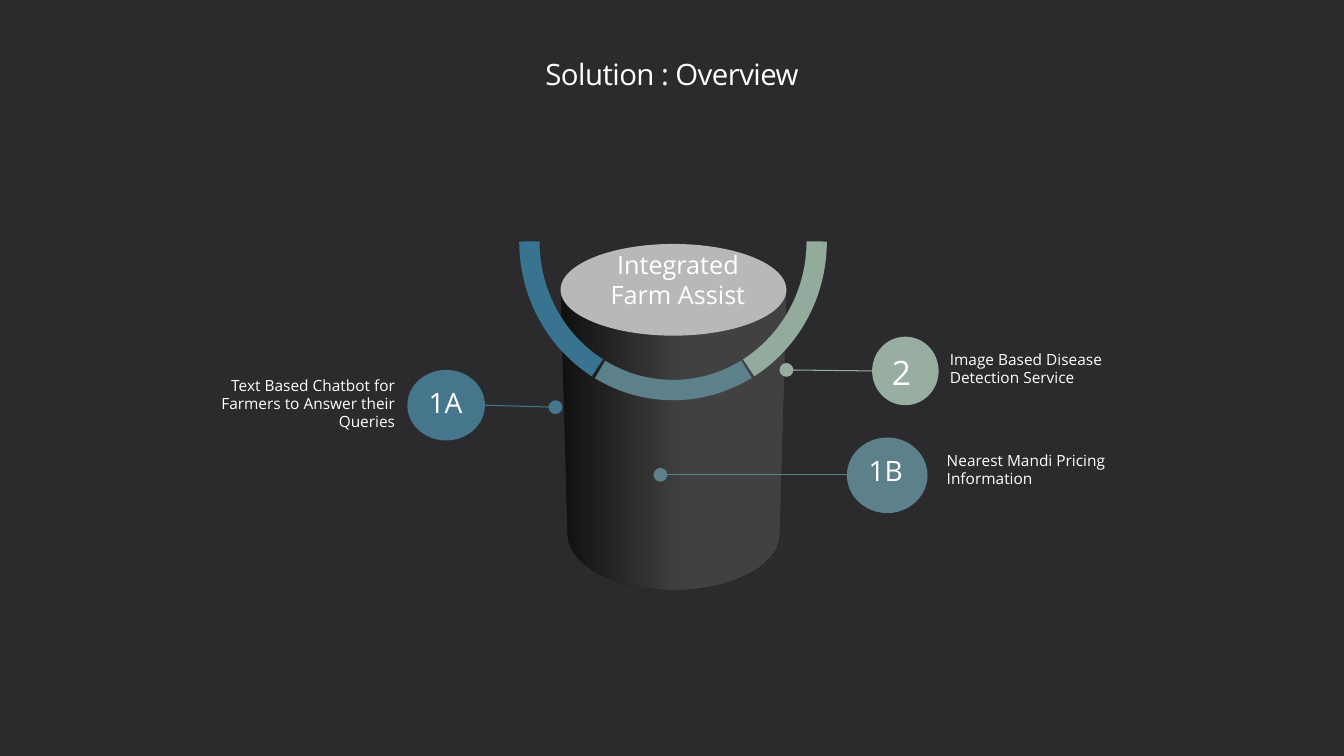
import math
from dataclasses import dataclass

import lxml.etree
import pptx
import pptx.dml.color
import pptx.enum.shapes
import pptx.enum.text
import pptx.oxml.ns
import pptx.util

Inches = pptx.util.Inches
Align = pptx.enum.text.PP_ALIGN
Anchor = pptx.enum.text.MSO_ANCHOR
Preset = pptx.enum.shapes.MSO_SHAPE


@dataclass(frozen=True)
class Theme:
    font: str = "Open Sans"
    background: str = "2B2B2D"
    text: str = "FFFFFF"
    cylinder_top: str = "B8B8B8"
    cylinder_dark: str = "101010"
    cylinder_light: str = "414141"
    teal: str = "5C818A"
    blue_arc: str = "387390"
    blue: str = "46768C"
    green_arc: str = "93AB9C"
    green: str = "97AEA0"
    title_size: float = 21
    center_size: float = 18
    label_size: float = 11
    badge_size: float = 20
    large_badge_size: float = 24
    arc_width: float = 14.5
    line_width: float = 0.75


THEME = Theme()


@dataclass(frozen=True)
class Box:
    left: float
    top: float
    width: float
    height: float

    def emu(self) -> list:
        return [Inches(side) for side in (self.left, self.top, self.width, self.height)]


@dataclass(frozen=True)
class Arc:
    start: float
    end: float
    color: str


@dataclass(frozen=True)
class Service:
    number: str
    label: str
    badge: Box
    label_box: Box
    line_start: tuple[float, float]
    line_end: tuple[float, float]
    color: str
    number_size: float = THEME.badge_size
    align: Align = Align.LEFT


ARC_BOX = Box(5.2, 0.97, 2.95, 2.85)
ARCS = [
    Arc(30.9, 90, THEME.blue_arc),
    Arc(270, 329.1, THEME.green_arc),
    Arc(330.1, 29.67, THEME.teal),
]
CYLINDER_TOP = Box(5.56, 2.42, 2.24, 0.91)
CENTER_TEXT = Box(5.61, 1.62, 2.23, 2.31)
SERVICES = [
    Service("2", "Image Based Disease Detection Service",
            Box(8.65, 3.34, 0.66, 0.68), Box(9.22, 3.44, 2.61, 0.48),
            (8.65, 3.68), (7.8, 3.67), THEME.green, THEME.large_badge_size),
    Service("1A", "Text Based Chatbot for Farmers to Answer their Queries",
            Box(4.04, 3.67, 0.77, 0.7), Box(1.54, 3.7, 2.58, 0.66),
            (4.81, 4.02), (5.51, 4.04), THEME.blue, align=Align.RIGHT),
    Service("1B", "Nearest Mandi Pricing Information",
            Box(8.4, 4.34, 0.8, 0.75), Box(9.19, 4.44, 2.4, 0.66),
            (8.4, 4.71), (6.55, 4.71), THEME.teal),
]


def rgb(color: str) -> pptx.dml.color.RGBColor:
    return pptx.dml.color.RGBColor.from_string(color)


def write_text(shape, text: str, *, size: float, align=Align.LEFT, anchor=Anchor.TOP,
               insets=(0.1, 0.05, 0.1, 0.05), line_spacing: float = 1.0,
               character_spacing: float = 0) -> None:
    frame = shape.text_frame
    frame.word_wrap = True
    frame.auto_size = pptx.enum.text.MSO_AUTO_SIZE.NONE
    frame.vertical_anchor = anchor
    (frame.margin_left, frame.margin_top,
     frame.margin_right, frame.margin_bottom) = map(Inches, insets)
    paragraph = frame.paragraphs[0]
    paragraph.alignment = align
    paragraph.line_spacing = line_spacing
    run = paragraph.add_run()
    run.text = text
    run.font.name = THEME.font
    run.font.size = pptx.util.Pt(size)
    run.font.color.rgb = rgb(THEME.text)
    if character_spacing:
        run.font._element.set("spc", str(round(character_spacing * 100)))


def add_ellipse(slide, box: Box, color: str | None = None):
    shape = slide.shapes.add_shape(Preset.OVAL, *box.emu())
    shape.shadow.inherit = False
    shape.line.fill.background()
    if color:
        shape.fill.solid()
        shape.fill.fore_color.rgb = rgb(color)
    else:
        shape.fill.background()
    return shape


def add_cylinder(slide) -> None:
    center, shoulder, radius, depth = 6.68, 5.3, 1.05, 0.55
    top = CYLINDER_TOP.top + CYLINDER_TOP.height / 2
    right = CYLINDER_TOP.left + CYLINDER_TOP.width
    curve = [(center + radius * math.cos(math.radians(angle)),
              shoulder + depth * math.sin(math.radians(angle)))
             for angle in range(0, 181, 5)]
    builder = slide.shapes.build_freeform(Inches(CYLINDER_TOP.left), Inches(top))
    builder.add_line_segments([(Inches(x), Inches(y)) for x, y in [(right, top), *curve]])
    body = builder.convert_to_shape()
    body.shadow.inherit = False
    body.line.fill.background()
    body.fill.gradient()
    body.fill.gradient_angle = 0
    stops = zip(body.fill.gradient_stops, (0, 0.55), (THEME.cylinder_dark, THEME.cylinder_light))
    for stop, position, color in stops:
        stop.position = position
        stop.color.rgb = rgb(color)
    add_ellipse(slide, CYLINDER_TOP, THEME.cylinder_top)


def add_arc(slide, arc: Arc) -> None:
    shape = slide.shapes.add_shape(Preset.ARC, *ARC_BOX.emu())
    shape.rotation = 90
    shape.shadow.inherit = False
    shape.fill.background()
    shape.adjustments[0] = arc.start * 0.6
    shape.adjustments[1] = arc.end * 0.6
    shape.line.color.rgb = rgb(arc.color)
    shape.line.width = pptx.util.Pt(THEME.arc_width)


def add_service(slide, service: Service) -> None:
    label = slide.shapes.add_textbox(*service.label_box.emu())
    write_text(label, service.label, size=THEME.label_size, align=service.align,
               insets=(0.2, 0.05, 0.2, 0.08), line_spacing=0.95)
    badge = add_ellipse(slide, service.badge, service.color)
    write_text(badge, service.number, size=service.number_size, insets=(0.1, 0.05, 0, 0.05))
    connector = slide.shapes.add_connector(
        pptx.enum.shapes.MSO_CONNECTOR.STRAIGHT,
        *map(Inches, service.line_start + service.line_end))
    connector.line.color.rgb = rgb(service.color)
    connector.line.width = pptx.util.Pt(THEME.line_width)
    qualified = pptx.oxml.ns.qn
    lxml.etree.SubElement(connector.line._get_or_add_ln(), qualified("a:tailEnd"),
                          type="oval", w="lg", len="lg")
    lxml.etree.SubElement(connector._element.spPr, qualified("a:effectLst"))


def main() -> None:
    presentation = pptx.Presentation()
    presentation.slide_width = Inches(13.33)
    presentation.slide_height = Inches(7.5)
    slide = presentation.slides.add_slide(presentation.slide_layouts[5])
    slide.background.fill.solid()
    slide.background.fill.fore_color.rgb = rgb(THEME.background)

    title = slide.shapes.title
    title.left, title.top, title.width, title.height = Box(1, 0.31, 11.33, 0.89).emu()
    write_text(title, "Solution : Overview", size=THEME.title_size, align=Align.CENTER,
               anchor=Anchor.MIDDLE, insets=(0, 0, 0, 0), line_spacing=0.86,
               character_spacing=-0.4)

    add_cylinder(slide)
    for arc in ARCS:
        add_arc(slide, arc)
    write_text(add_ellipse(slide, CENTER_TEXT), "Integrated Farm Assist",
               size=THEME.center_size, align=Align.CENTER, anchor=Anchor.MIDDLE)
    for service in SERVICES:
        add_service(slide, service)
    presentation.save("out.pptx")


if __name__ == "__main__":
    main()
